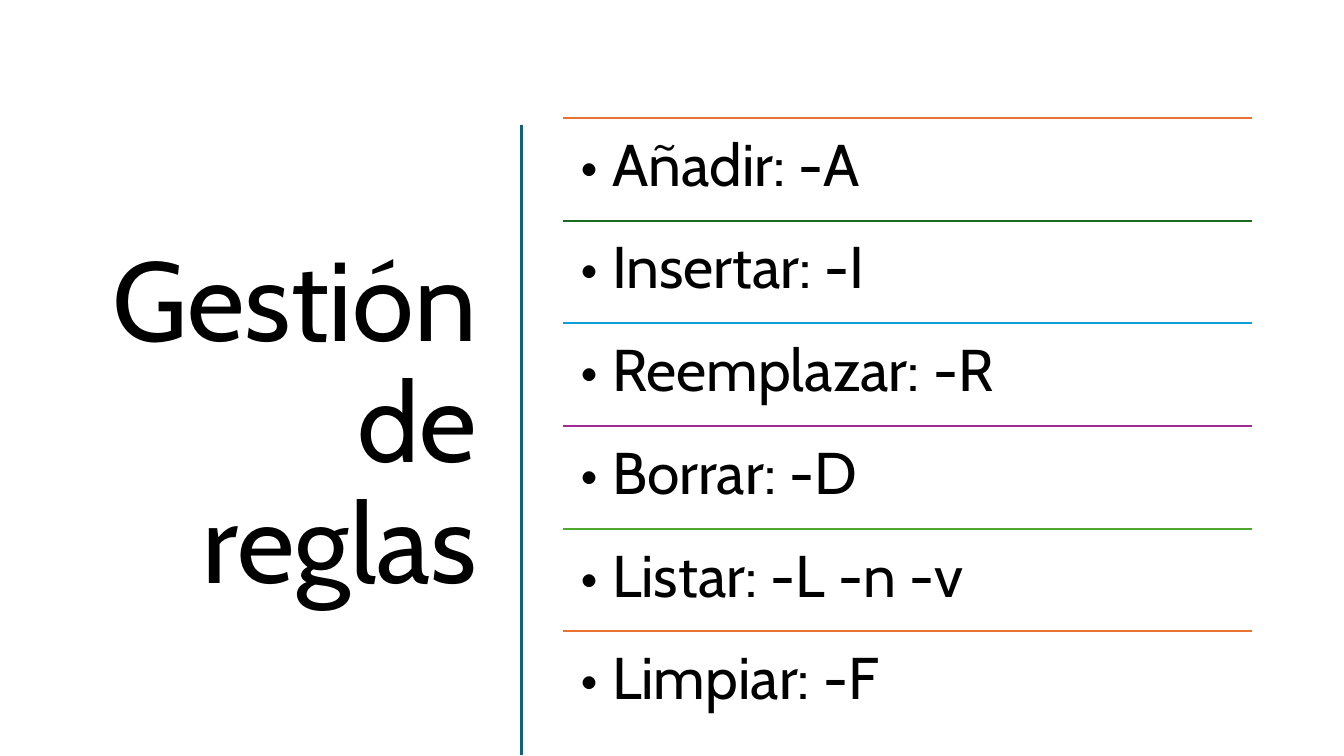
from dataclasses import dataclass

from lxml import etree
from pptx import Presentation
from pptx.dml.color import RGBColor
from pptx.enum.shapes import MSO_CONNECTOR
from pptx.enum.text import MSO_ANCHOR, PP_ALIGN
from pptx.oxml.ns import qn
from pptx.util import Pt

STRAIGHT = MSO_CONNECTOR.STRAIGHT
TOP, MIDDLE = MSO_ANCHOR.TOP, MSO_ANCHOR.MIDDLE
LEFT, RIGHT = PP_ALIGN.LEFT, PP_ALIGN.RIGHT


@dataclass(frozen=True)
class Theme:
    font: str = "Cabin"
    title_size: int = 80
    rule_size: int = 42
    text: str = "000000"
    divider: str = "156082"
    accents: tuple = ("E97132", "196B24", "0F9ED5", "A02B93", "4EA72E")


theme = Theme()


def add_line(x1, y1, x2, y2, color, width):
    line = s.shapes.add_connector(STRAIGHT, Pt(x1), Pt(y1), Pt(x2), Pt(y2))
    line.line.color.rgb = RGBColor.from_string(color)
    line.line.width = Pt(width)
    etree.SubElement(line._element.spPr, qn("a:effectLst"))


def add_text(x, y, w, h, text, size, align, anchor, inset_x, inset_y):
    tf = s.shapes.add_textbox(Pt(x), Pt(y), Pt(w), Pt(h)).text_frame
    tf.word_wrap = True
    tf.vertical_anchor = anchor
    tf.margin_left = tf.margin_right = Pt(inset_x)
    tf.margin_top = tf.margin_bottom = Pt(inset_y)
    p = tf.paragraphs[0]
    p.text = text
    p.alignment = align
    p.line_spacing = 0.9
    font = p.runs[0].font
    font.name = theme.font
    font.size = Pt(size)
    font.color.rgb = RGBColor.from_string(theme.text)


prs = Presentation()
prs.slide_width, prs.slide_height = Pt(960), Pt(540)
s = prs.slides.add_slide(prs.slide_layouts[6])

# Title and divider
add_text(37.5, 84.2, 310.3, 440, "Gestión de reglas", theme.title_size,
         RIGHT, MIDDLE, 7.2, 3.6)
add_line(372.4, 89, 372.4, 539.5, theme.divider, 2)

# Rule commands, one row each under a coloured line
rules = ["Añadir: -A", "Insertar: -I", "Reemplazar: -R",
         "Borrar: -D", "Listar: -L -n -v", "Limpiar: -F"]
list_x, list_y, list_w, row_h = 402.3, 84.2, 491.8, 73.35
for i, rule in enumerate(rules):
    y = list_y + i * row_h
    add_line(list_x, y, list_x + list_w, y,
             theme.accents[i % len(theme.accents)], 1.5)
    add_text(list_x, y, list_w, row_h, f"• {rule}", theme.rule_size,
             LEFT, TOP, 12.6, 12.6)

prs.save("out.pptx")
